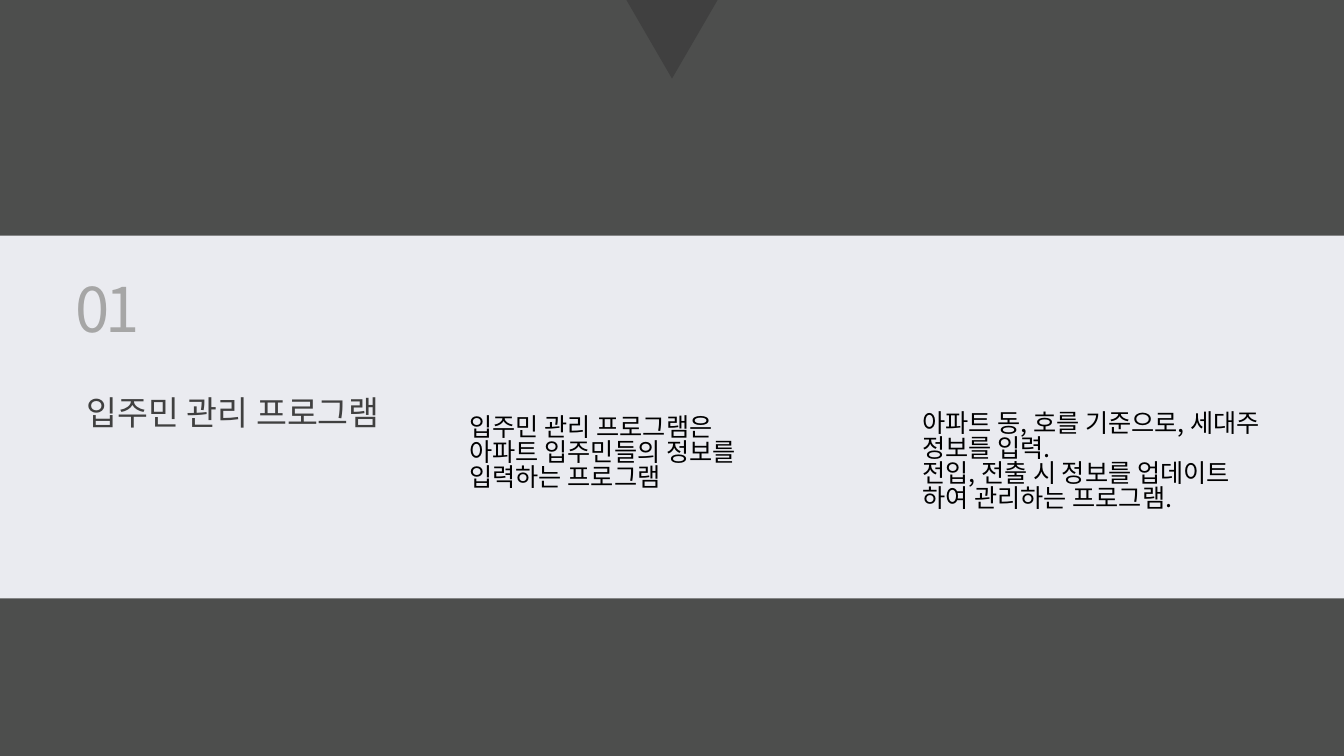
from pptx import Presentation
from pptx.dml.color import RGBColor
from pptx.enum.shapes import MSO_SHAPE as SHAPE
from pptx.enum.text import MSO_ANCHOR as ANCHOR, MSO_AUTO_SIZE as AUTO, PP_ALIGN as ALIGN
from pptx.oxml.ns import qn
from pptx.util import Cm, Pt
from lxml.etree import SubElement

TITLE = "입주민 관리 프로그램"
NUMBER = "01"
SUMMARY = ["입주민 관리 프로그램은 아파트 입주민들의 정보를 입력하는 프로그램"]
DETAILS = [
    "아파트 동, 호를 기준으로, 세대주 정보를 입력.",
    "전입, 전출 시 정보를 업데이트 하여 관리하는 프로그램.",
]

FONT = "Noto Sans CJK KR"
LINE_SPACING = 0.83
COLORS = {
    "background": "4D4E4D",
    "band": "EAEBF0",
    "dark": "404040",
    "number": "A6A6A6",
    "body": "000000",
}

# left, top, width, height in cm
SLIDE_W, SLIDE_H = 33.87, 19.05
BAND = (0, 5.94, SLIDE_W, 9.14)
MARKER_W = 2.39
MARKER = ((SLIDE_W - MARKER_W) / 2, -0.08, MARKER_W, 2.06)
LABEL_LEFT = 1.14
NUMBER_BOX = (LABEL_LEFT, 7.01, 3.15, 2.13)
TITLE_BOX = (LABEL_LEFT, 9.91, 9.47, 1.27)
SUMMARY_BOX = (11.58, 10.36, 7.67, 2.57)
DETAILS_BOX = (22.99, 10.26, 9.35, 4.88)


def rgb(name):
    return RGBColor.from_string(COLORS[name])


def place(sp, box):
    sp.left, sp.top, sp.width, sp.height = map(Cm, box)


def write(sp, lines, size=18, color="body", align=ALIGN.LEFT, tracking=None):
    tf = sp.text_frame
    tf.word_wrap = True
    tf.auto_size = AUTO.NONE
    tf.vertical_anchor = ANCHOR.TOP
    for i, line in enumerate(lines):
        p = tf.paragraphs[0] if i == 0 else tf.add_paragraph()
        p.alignment = align
        p.line_spacing = LINE_SPACING
        p.space_before = Pt(0)
        r = p.add_run()
        r.text = line
        r.font.size = Pt(size)
        r.font.name = FONT
        r.font.color.rgb = rgb(color)
        props = r.font._element
        SubElement(props, qn("a:ea")).set("typeface", FONT)
        if tracking is not None:
            props.set("spc", str(tracking * 100))


def add_block(s, kind, box, color):
    sp = s.shapes.add_shape(kind, *map(Cm, box))
    sp.shadow.inherit = False
    sp.fill.solid()
    sp.fill.fore_color.rgb = rgb(color)
    sp.line.fill.background()
    return sp


def add_text(s, box, lines, **style):
    write(s.shapes.add_textbox(*map(Cm, box)), lines, **style)


def main():
    prs = Presentation()
    prs.slide_width, prs.slide_height = Cm(SLIDE_W), Cm(SLIDE_H)
    s = prs.slides.add_slide(prs.slide_layouts[5])
    s.background.fill.solid()
    s.background.fill.fore_color.rgb = rgb("background")

    add_block(s, SHAPE.ISOSCELES_TRIANGLE, MARKER, "dark").rotation = 180
    add_block(s, SHAPE.RECTANGLE, BAND, "band")

    title = s.shapes.title
    title.element.getparent().append(title.element)  # bring in front of the band
    place(title, TITLE_BOX)
    write(title, [TITLE], size=24, color="dark", align=ALIGN.CENTER)

    add_text(s, SUMMARY_BOX, SUMMARY)
    add_text(s, DETAILS_BOX, DETAILS)
    add_text(s, NUMBER_BOX, [NUMBER], size=44, color="number",
             align=ALIGN.CENTER, tracking=-3)
    prs.save("out.pptx")


if __name__ == "__main__":
    main()
